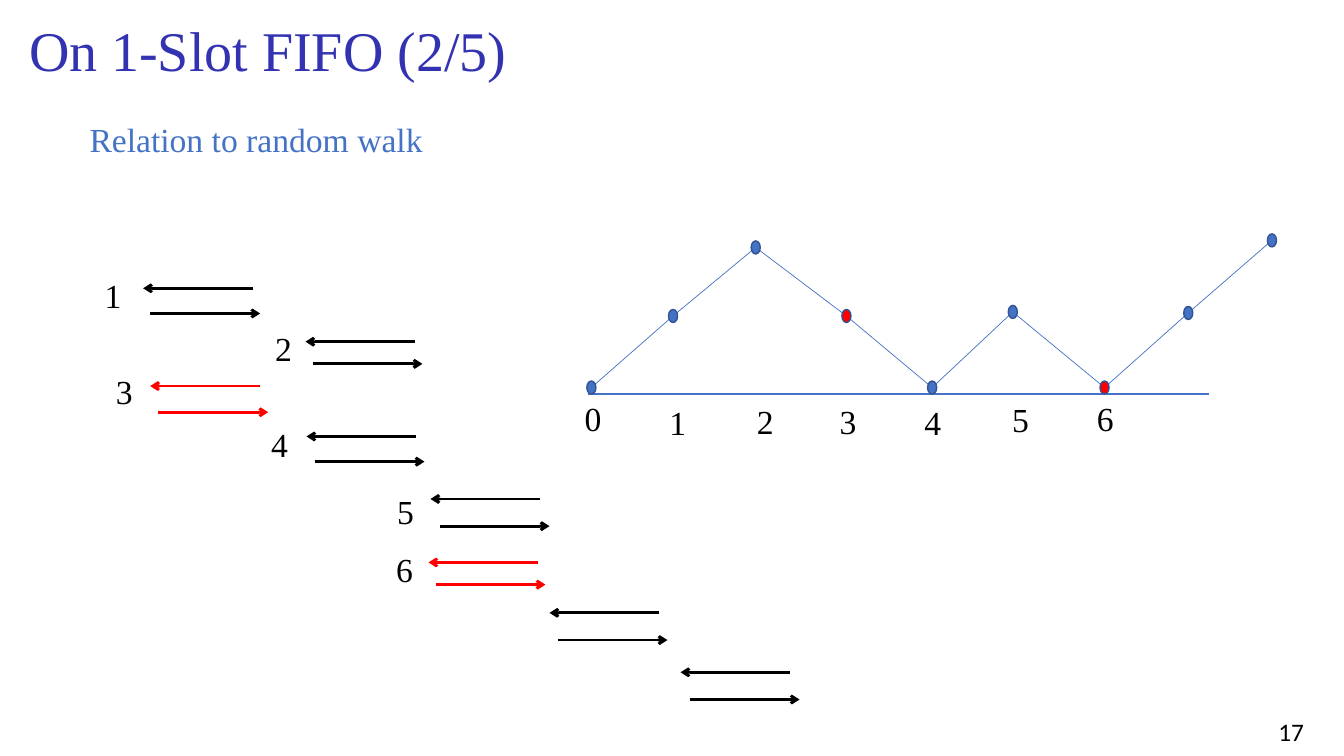
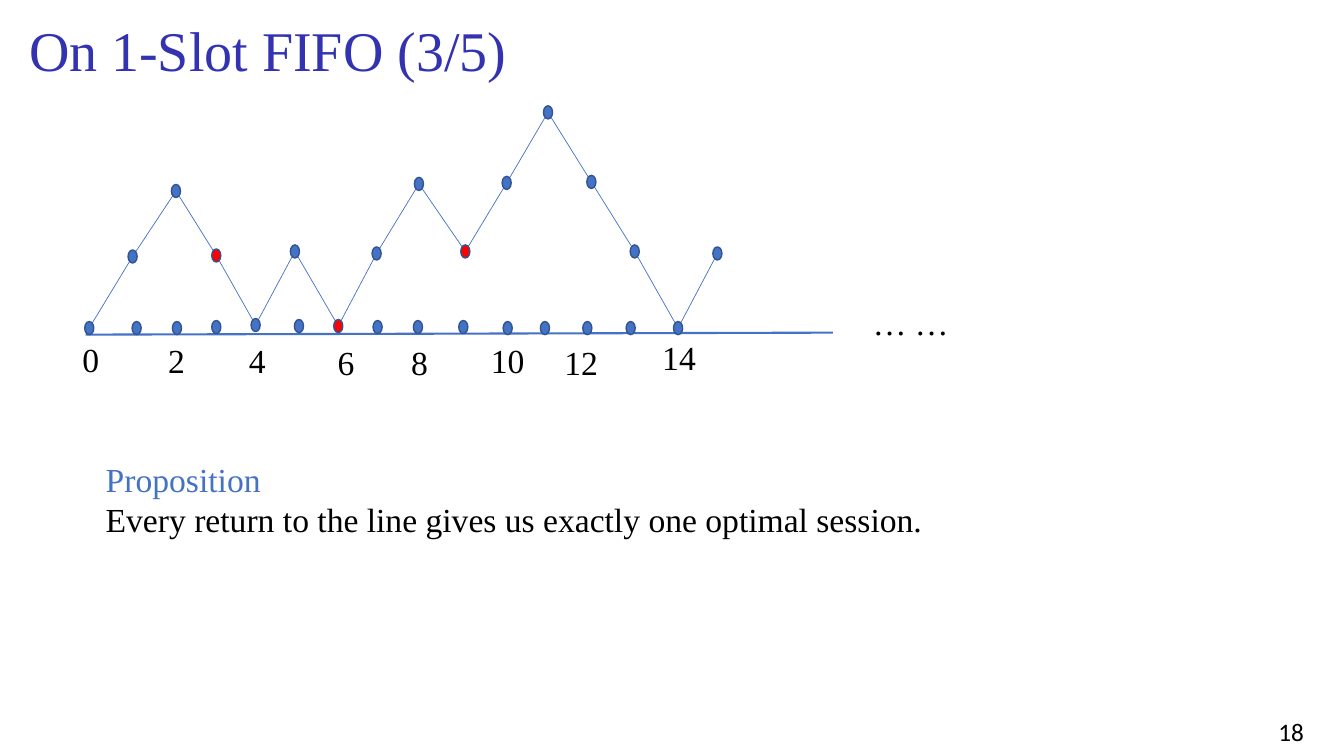
from itertools import pairwise

from lxml import etree
from pptx import Presentation
from pptx.dml.color import RGBColor
from pptx.enum.shapes import MSO_CONNECTOR, MSO_SHAPE
from pptx.enum.text import MSO_ANCHOR
from pptx.oxml.ns import qn
from pptx.util import Inches, Pt

BLACK, RED, BLUE = "000000", "FF0000", "4472C4"
DOT_OUTLINE, TITLE_BLUE = "325491", "3333B2"
SERIF, SANS = "Times New Roman", "Calibri"
DOT_WIDTH, DOT_HEIGHT = 0.09, 0.13
ARROW_LENGTH = 1.09

# Label, label position, start of the upper arrow, start of the lower arrow, colour
SESSIONS = [
    ("1", (0.94, 2.68), (1.42, 2.86), (1.49, 3.11), BLACK),
    ("2", (2.63, 3.2), (3.03, 3.39), (3.1, 3.61), BLACK),
    ("3", (1.05, 3.63), (1.49, 3.83), (1.57, 4.09), RED),
    ("4", (2.59, 4.16), (3.04, 4.33), (3.12, 4.58), BLACK),
    ("5", (3.84, 4.82), (4.27, 4.95), (4.36, 5.22), BLACK),
    ("6", (3.83, 5.4), (4.25, 5.58), (4.32, 5.8), RED),
    ("", None, (5.45, 6.08), (5.53, 6.35), BLACK),
    ("", None, (6.75, 6.67), (6.84, 6.94), BLACK),
]

SHORT_WALK = {
    "axis": ((5.83, 3.91), (11.99, 3.91)),
    "steps": [(5.82, 3.78), (6.63, 3.07), (7.45, 2.39), (8.35, 3.07), (9.2, 3.78),
              (10, 3.03), (10.91, 3.78), (11.74, 3.04), (12.57, 2.32)],
    "red_steps": {3, 6},
    "axis_dots": [],
    "labels": [("0", 5.7, 3.9), ("1", 6.54, 3.94), ("2", 7.41, 3.93), ("3", 8.23, 3.93),
               ("4", 9.07, 3.94), ("5", 9.94, 3.91), ("6", 10.78, 3.9)],
}
LONG_WALK = {
    "axis": ((0.85, 3.32), (8.26, 3.3)),
    "steps": [(0.84, 3.19), (1.27, 2.48), (1.7, 1.83), (2.1, 2.47), (2.49, 3.16),
              (2.88, 2.43), (3.31, 3.17), (3.69, 2.45), (4.11, 1.76), (4.57, 2.43),
              (4.98, 1.75), (5.39, 1.05), (5.82, 1.74), (6.25, 2.43), (6.68, 3.19),
              (7.07, 2.45)],
    "red_steps": {3, 6, 9},
    "axis_dots": [(1.31, 3.19), (1.71, 3.19), (2.1, 3.18), (2.92, 3.17), (3.7, 3.18),
                  (4.1, 3.18), (4.55, 3.18), (4.99, 3.19), (5.36, 3.19), (5.78, 3.19),
                  (6.21, 3.19)],
    "labels": [("0", 0.72, 3.31), ("2", 1.57, 3.32), ("4", 2.37, 3.32), ("6", 3.25, 3.34),
               ("8", 3.98, 3.34), ("10", 4.77, 3.32), ("12", 5.5, 3.34), ("14", 6.47, 3.29)],
}
PROPOSITION = [
    ("Proposition", BLUE),
    ("Every return to the line gives us exactly one optimal session.", BLACK),
]


def rgb(color):
    return RGBColor.from_string(color)


def add_text(slide, lines, left, top, width=0.6, height=0.5, size=24, font=SERIF):
    """Add a text box with one paragraph for each (text, colour) pair."""
    box = slide.shapes.add_textbox(Inches(left), Inches(top), Inches(width), Inches(height))
    frame = box.text_frame
    frame.word_wrap = True
    for index, (text, color) in enumerate(lines):
        paragraph = frame.add_paragraph() if index else frame.paragraphs[0]
        paragraph.text = text
        paragraph.font.name = font
        paragraph.font.size = Pt(size)
        paragraph.font.color.rgb = rgb(color)
    return frame


def add_line(slide, start, end, color, width, arrow=False):
    """Draw a straight line, with an open arrowhead at its end if asked."""
    line = slide.shapes.add_connector(
        MSO_CONNECTOR.STRAIGHT, *(Inches(value) for value in (*start, *end)))
    line.line.color.rgb = rgb(color)
    line.line.width = Pt(width)
    if arrow:
        etree.SubElement(line.line._get_or_add_ln(), qn("a:tailEnd"), type="arrow")
    etree.SubElement(line._element.spPr, qn("a:effectLst"))


def add_dot(slide, left, top, color=BLUE):
    dot = slide.shapes.add_shape(MSO_SHAPE.OVAL, Inches(left), Inches(top),
                                 Inches(DOT_WIDTH), Inches(DOT_HEIGHT))
    dot.shadow.inherit = False
    dot.fill.solid()
    dot.fill.fore_color.rgb = rgb(color)
    dot.line.color.rgb = rgb(DOT_OUTLINE)
    dot.line.width = Pt(1)


def add_walk(slide, walk):
    """Draw the axis, the path through the dot centres, the dots and the labels."""
    add_line(slide, *walk["axis"], BLUE, 1.5)
    centres = [(left + DOT_WIDTH / 2, top + DOT_HEIGHT / 2) for left, top in walk["steps"]]
    for start, end in pairwise(centres):
        add_line(slide, start, end, BLUE, 0.5)
    for left, top in walk["axis_dots"]:
        add_dot(slide, left, top)
    for step, (left, top) in enumerate(walk["steps"]):
        add_dot(slide, left, top, RED if step in walk["red_steps"] else BLUE)
    for text, left, top in walk["labels"]:
        add_text(slide, [(text, BLACK)], left, top)


def add_session(slide, label, label_position, upper, lower, color):
    """Draw an arrow to the left above an arrow to the right, with a number."""
    add_line(slide, (upper[0] + ARROW_LENGTH, upper[1]), upper, color, 2, arrow=True)
    add_line(slide, lower, (lower[0] + ARROW_LENGTH, lower[1]), color, 2, arrow=True)
    if label:
        add_text(slide, [(label, BLACK)], *label_position)


def add_slide(presentation, title, number):
    slide = presentation.slides.add_slide(presentation.slide_layouts[6])
    frame = add_text(slide, [(title, TITLE_BLUE)], 0.19, 0.1, 11.5, 0.77, size=40)
    frame.vertical_anchor = MSO_ANCHOR.MIDDLE
    add_text(slide, [(number, BLACK)], 12.58, 7.06, 0.6, 0.4, size=18, font=SANS)
    return slide


def main():
    presentation = Presentation()
    presentation.slide_width = Inches(13.33)
    presentation.slide_height = Inches(7.5)

    slide = add_slide(presentation, "On 1-Slot FIFO (2/5)", "17")
    add_text(slide, [("Relation to random walk", BLUE)], 0.79, 1.13, 11.03)
    for session in SESSIONS:
        add_session(slide, *session)
    add_walk(slide, SHORT_WALK)

    slide = add_slide(presentation, "On 1-Slot FIFO (3/5)", "18")
    add_walk(slide, LONG_WALK)
    add_text(slide, [("… …", BLACK)], 8.56, 2.95, 2.69)
    add_text(slide, PROPOSITION, 0.95, 4.5, 11.03, 0.91)

    presentation.save("out.pptx")


if __name__ == "__main__":
    main()
